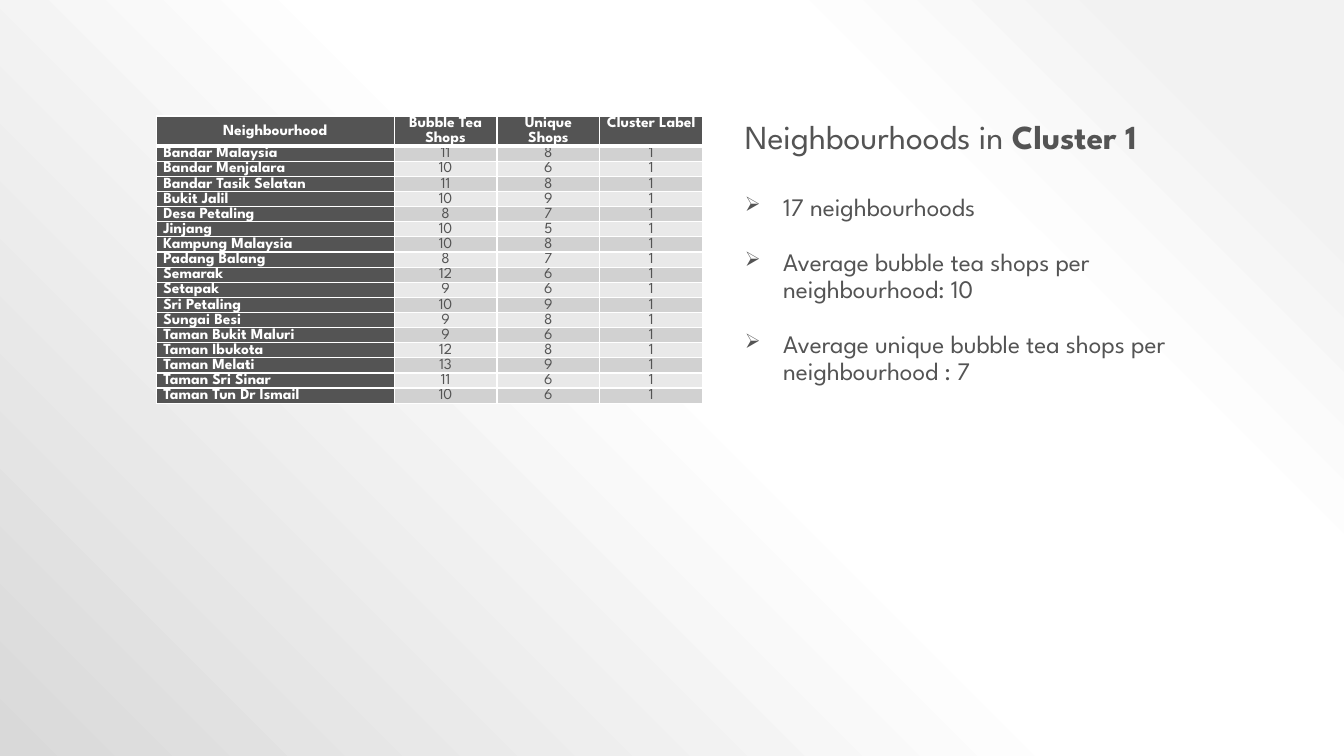
from lxml import etree
from pptx import Presentation
from pptx.dml.color import RGBColor
from pptx.enum import text
from pptx.oxml import parse_xml
from pptx.oxml.ns import nsdecls, qn
from pptx.util import Inches, Pt

FONT = "League Spartan"
DARK = RGBColor(0x54, 0x54, 0x54)
WHITE = RGBColor(0xFF, 0xFF, 0xFF)
BANDS = RGBColor(0xD1, 0xD1, 0xD1), RGBColor(0xE9, 0xE9, 0xE9)
BACKGROUND_STOPS = (
    (10, RGBColor(0xF2, 0xF2, 0xF2)),
    (28, WHITE),
    (48, WHITE),
    (100, RGBColor(0xD9, 0xD9, 0xD9)),
)

CLUSTER = 1
HEADINGS = ("Neighbourhood", "Bubble Tea Shops", "Unique Shops", "Cluster Label")
COLUMN_WIDTHS = (2.36, 1.02, 1.02, 1.02)
HEADER_HEIGHT, ROW_HEIGHT = 0.3, 0.15
NEIGHBOURHOODS = (
    ("Bandar Malaysia", 11, 8),
    ("Bandar Menjalara", 10, 6),
    ("Bandar Tasik Selatan", 11, 8),
    ("Bukit Jalil", 10, 9),
    ("Desa Petaling", 8, 7),
    ("Jinjang", 10, 5),
    ("Kampung Malaysia", 10, 8),
    ("Padang Balang", 8, 7),
    ("Semarak", 12, 6),
    ("Setapak", 9, 6),
    ("Sri Petaling", 10, 9),
    ("Sungai Besi", 9, 8),
    ("Taman Bukit Maluri", 9, 6),
    ("Taman Ibukota", 12, 8),
    ("Taman Melati", 13, 9),
    ("Taman Sri Sinar", 11, 6),
    ("Taman Tun Dr Ismail", 10, 6),
)
FINDINGS = (
    "17 neighbourhoods",
    "Average bubble tea shops per neighbourhood: 10",
    "Average unique bubble tea shops per neighbourhood : 7",
)


def add_text(p, content, size=18, color=DARK, bold=False):
    r = p.add_run()
    r.text = content
    r.font.name = FONT
    r.font.size = Pt(size)
    r.font.bold = bold
    r.font.color.rgb = color


def set_background(s):
    """Shade the slide outwards from its top right corner."""
    stops = "".join(
        f'<a:gs pos="{pos * 1000}"><a:srgbClr val="{color}"/></a:gs>'
        for pos, color in BACKGROUND_STOPS
    )
    bg = parse_xml(
        f'<p:bg {nsdecls("p", "a")}><p:bgPr><a:gradFill rotWithShape="1">'
        f'<a:gsLst>{stops}</a:gsLst><a:path path="circle">'
        '<a:fillToRect l="100000" b="100000"/></a:path></a:gradFill>'
        "<a:effectLst/></p:bgPr></p:bg>"
    )
    s.element.cSld.insert(0, bg)


def set_borders(cell, bottom=1, top=1):
    tcPr = cell._tc.get_or_add_tcPr()
    widths = {"lnL": 1, "lnR": 1, "lnT": top, "lnB": bottom}
    for i, (side, width) in enumerate(widths.items()):
        ln = parse_xml(
            f'<a:{side} {nsdecls("a")} w="{Pt(width)}"><a:solidFill>'
            f'<a:srgbClr val="{WHITE}"/></a:solidFill></a:{side}>'
        )
        tcPr.insert(i, ln)


def fill_cell(cell, content, fill, color, bold=False, centred=True):
    cell.margin_left = cell.margin_right = Inches(0.07)
    cell.margin_top = cell.margin_bottom = 0
    cell.fill.solid()
    cell.fill.fore_color.rgb = fill
    p = cell.text_frame.paragraphs[0]
    p.line_spacing = 1.07
    p.alignment = text.PP_ALIGN.CENTER if centred else text.PP_ALIGN.LEFT
    add_text(p, str(content), size=11, color=color, bold=bold)


def add_neighbourhood_table(s):
    height = HEADER_HEIGHT + ROW_HEIGHT * len(NEIGHBOURHOODS)
    table = s.shapes.add_table(
        len(NEIGHBOURHOODS) + 1, len(HEADINGS), Inches(1.55), Inches(1.15),
        Inches(sum(COLUMN_WIDTHS)), Inches(height),
    ).table
    for column, width in zip(table.columns, COLUMN_WIDTHS):
        column.width = Inches(width)
    for i, row in enumerate(table.rows):
        row.height = Inches(ROW_HEIGHT if i else HEADER_HEIGHT)

    for j, heading in enumerate(HEADINGS):
        cell = table.cell(0, j)
        fill_cell(cell, heading, DARK, WHITE, bold=True)
        set_borders(cell, bottom=3)
    table.cell(0, 0).vertical_anchor = text.MSO_ANCHOR.MIDDLE

    for i, (name, *counts) in enumerate(NEIGHBOURHOODS, 1):
        fill_cell(table.cell(i, 0), name, DARK, WHITE, bold=True, centred=False)
        for j, value in enumerate((*counts, CLUSTER), 1):
            fill_cell(table.cell(i, j), value, BANDS[(i - 1) % 2], DARK)
        for cell in table.rows[i].cells:
            set_borders(cell, top=3 if i == 1 else 1)


def add_bullet(p):
    pPr = p._p.get_or_add_pPr()
    pPr.set("marL", str(Inches(0.38)))
    pPr.set("indent", str(-Inches(0.38)))
    color = etree.SubElement(pPr, qn("a:buClr"))
    etree.SubElement(color, qn("a:srgbClr"), val=str(DARK))
    etree.SubElement(pPr, qn("a:buSzPct"), val="80000")
    etree.SubElement(pPr, qn("a:buChar"), char="➢")


def add_summary(s):
    tf = s.shapes.add_textbox(
        Inches(7.29), Inches(1.15), Inches(5.2), Inches(2.99)
    ).text_frame
    tf.word_wrap = True
    p = tf.paragraphs[0]
    p.line_spacing = 0.9
    add_text(p, "Neighbourhoods in ", size=24)
    add_text(p, f"Cluster {CLUSTER}", size=24, bold=True)
    for i, finding in enumerate(FINDINGS):
        p = tf.add_paragraph()
        p.line_spacing = 0.9
        p.space_before = Pt(19.5 if i else 27)
        add_bullet(p)
        add_text(p, finding)


def main():
    prs = Presentation()
    prs.slide_width, prs.slide_height = Inches(13.33), Inches(7.5)
    s = prs.slides.add_slide(prs.slide_layouts[6])
    set_background(s)
    add_neighbourhood_table(s)
    add_summary(s)
    prs.save("out.pptx")


if __name__ == "__main__":
    main()
